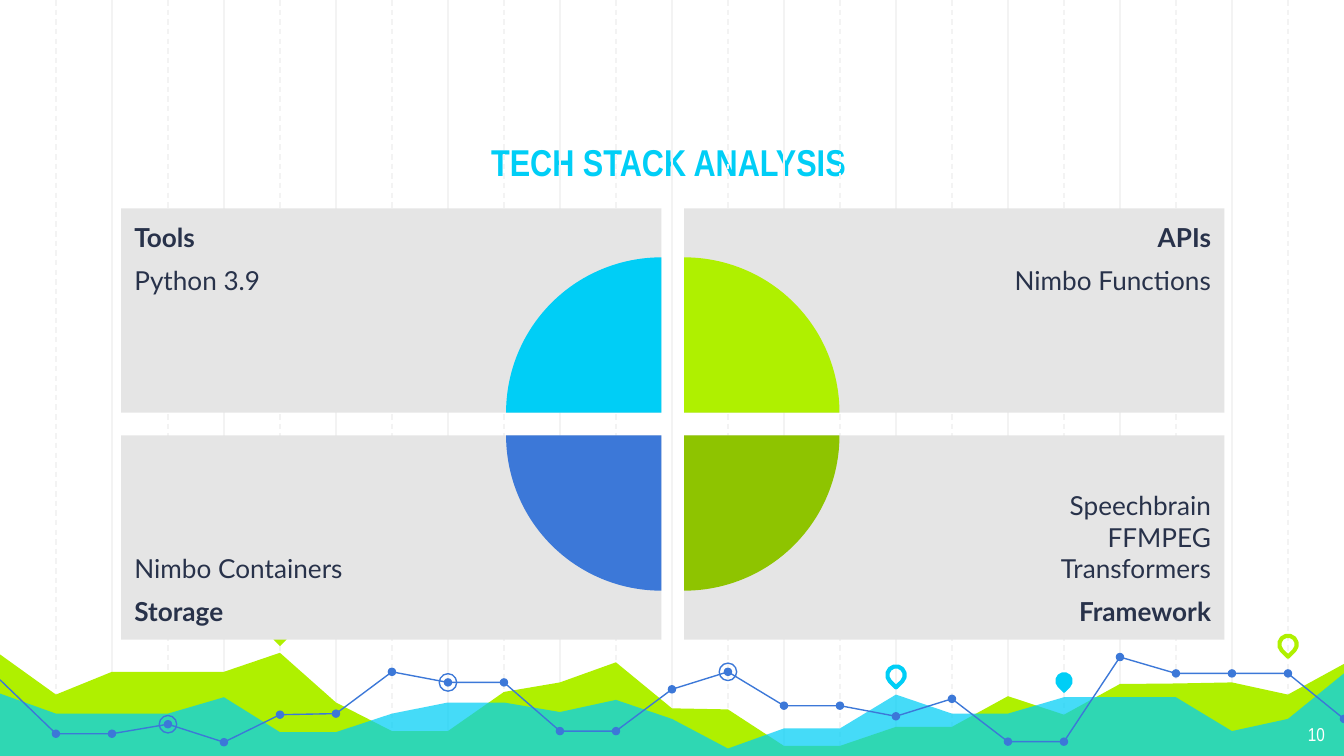
"""Build the tech stack slide: four panels around a split pie above a wavy chart band."""
from dataclasses import dataclass
from typing import Optional, Sequence

from lxml import etree
from pptx import Presentation
from pptx import util as u
from pptx.dml.color import RGBColor
from pptx.enum import dml, shapes, text
from pptx.oxml.ns import qn


@dataclass(frozen=True)
class Theme:
    cyan: str = "00CEF6"
    lime: str = "AFF000"
    olive: str = "8EC400"
    blue: str = "3C78D8"
    panel: str = "E5E5E5"
    grid: str = "F3F3F3"
    ink: str = "28324A"
    white: str = "FFFFFF"
    heading_face: str = "Arial Narrow"
    body_face: str = "Lato"
    title_size: int = 20
    body_size: int = 14
    number_size: int = 10
    thin: float = 0.75
    thick: float = 2.25


@dataclass(frozen=True)
class Area:
    heights: Sequence[float]
    color: str
    opacity: int = 100


@dataclass(frozen=True)
class Pin:
    column: int
    y: float
    color: str
    filled: bool


@dataclass(frozen=True)
class Panel:
    column: int
    row: int
    heading: str
    items: Sequence[str]
    color: str
    turn: int


THEME = Theme()
WIDTH, HEIGHT = 25.4, 14.29
COLUMNS = 24
STEP = WIDTH / COLUMNS
PANEL_LEFT, PANEL_TOP, PANEL_WIDTH, PANEL_HEIGHT = 2.29, 3.94, 10.21, 3.86
GAP = 0.43
PIE, DOT, MARK = 5.87, 0.16, 0.33
INSET, PIE_INSET = 0.25, 3.81

AREAS = [
    Area([12.37, 13.13, 12.7, 12.7, 12.7, 12.34, 13.28, 13.82, 13.82, 13.08, 12.9, 12.52, 13.39,
          13.41, 14.1, 14.1, 13.74, 13.74, 13.16, 13.51, 12.93, 12.92, 12.9, 13.13, 12.55],
         THEME.lime),
    Area([13.11, 13.49, 13.49, 13.49, 13.18, 13.84, 13.84, 13.49, 13.28, 13.28, 13.46, 13.23, 13.59,
          14.15, 13.77, 13.77, 13.13, 13.49, 13.49, 13.18, 13.18, 13.18, 13.82, 13.59, 12.73],
         THEME.cyan, 73),
]
TREND = [12.85, 13.87, 13.87, 13.69, 14.03, 13.51, 13.49, 12.7, 12.9, 12.9, 13.82, 13.82, 13.03,
         12.7, 13.34, 13.34, 13.54, 13.21, 14.02, 14.02, 12.42, 12.73, 12.73, 12.73, 13.59]
RINGED = (3, 8, 13)
PINS = [
    Pin(5, 11.98, THEME.lime, True),
    Pin(16, 12.76, THEME.cyan, False),
    Pin(19, 12.87, THEME.cyan, True),
    Pin(23, 12.18, THEME.lime, False),
]
PANELS = [
    Panel(0, 0, "Tools", ["Python 3.9"], THEME.cyan, 0),
    Panel(1, 0, "APIs", ["Nimbo Functions"], THEME.lime, 90),
    Panel(1, 1, "Framework", ["Speechbrain", "FFMPEG", "Transformers"], THEME.olive, 180),
    Panel(0, 1, "Storage", ["Nimbo Containers"], THEME.blue, 270),
]


def paint(shape, fill: Optional[str] = None, line: Optional[str] = None,
          weight: float = THEME.thin) -> None:
    """Set the fill and outline of a shape, leaving out whichever is not given."""
    shape.shadow.inherit = False
    if fill:
        shape.fill.solid()
        shape.fill.fore_color.rgb = RGBColor.from_string(fill)
    else:
        shape.fill.background()
    if line:
        shape.line.color.rgb = RGBColor.from_string(line)
        shape.line.width = u.Pt(weight)
    else:
        shape.line.fill.background()


def write(frame, words: str, *, size: int = THEME.body_size, face: str = THEME.body_face,
          color: str = THEME.ink, bold: bool = False, align=text.PP_ALIGN.LEFT,
          before: int = 0, after: int = 0) -> None:
    """Put a formatted paragraph at the end of a text frame."""
    paragraph = frame.paragraphs[0] if not frame.text else frame.add_paragraph()
    paragraph.text = words
    paragraph.alignment = align
    paragraph.space_before, paragraph.space_after = u.Pt(before), u.Pt(after)
    font = paragraph.font
    font.size, font.name, font.bold = u.Pt(size), face, bold
    font.color.rgb = RGBColor.from_string(color)


def set_frame(frame, anchor, left: float = INSET, right: float = INSET) -> None:
    """Set the wrapping, anchor and insets of a text frame."""
    frame.word_wrap = True
    frame.auto_size = text.MSO_AUTO_SIZE.NONE
    frame.vertical_anchor = anchor
    frame.margin_left, frame.margin_right = u.Cm(left), u.Cm(right)
    frame.margin_top = frame.margin_bottom = u.Cm(INSET)


def add_centred(slide, kind, x: float, y: float, size: float):
    """Add a square-bounded shape around a centre point."""
    return slide.shapes.add_shape(kind, u.Cm(x - size / 2), u.Cm(y - size / 2),
                                  u.Cm(size), u.Cm(size))


def add_outline(slide, points: Sequence[tuple], close: bool):
    """Add a freeform through points given in centimetres."""
    (start, *rest) = [(u.Cm(x), u.Cm(y)) for x, y in points]
    builder = slide.shapes.build_freeform(*start)
    builder.add_line_segments(rest, close=close)
    return builder.convert_to_shape()


def add_grid_line(slide, column: int) -> None:
    """Add a vertical grid line, dashed on odd columns."""
    x = u.Cm(column * STEP)
    rule = slide.shapes.add_connector(shapes.MSO_CONNECTOR.STRAIGHT, x, 0, x, u.Cm(HEIGHT))
    rule.line.color.rgb = RGBColor.from_string(THEME.grid)
    rule.line.width = u.Pt(THEME.thin)
    if column % 2:
        rule.line.dash_style = dml.MSO_LINE.DASH
    etree.SubElement(rule._element.spPr, qn("a:effectLst"))


def add_area(slide, area: Area) -> None:
    """Add a filled wave that stands on the bottom edge."""
    crest = [(i * STEP, y) for i, y in enumerate(area.heights)]
    wave = add_outline(slide, crest + [(WIDTH, HEIGHT), (0, HEIGHT)], True)
    paint(wave, fill=area.color)
    if area.opacity < 100:
        tint = wave._element.spPr.find(".//" + qn("a:srgbClr"))
        etree.SubElement(tint, qn("a:alpha"), val=str(area.opacity * 1000))


def add_trend(slide) -> None:
    """Add the trend line with its dots and rings."""
    points = [(i * STEP, y) for i, y in enumerate(TREND)]
    paint(add_outline(slide, points, False), line=THEME.blue)
    for x, y in points[1:]:
        paint(add_centred(slide, shapes.MSO_SHAPE.OVAL, x, y, DOT), fill=THEME.blue)
    for column in RINGED:
        paint(add_centred(slide, shapes.MSO_SHAPE.OVAL, *points[column], MARK), line=THEME.blue)


def add_pin(slide, pin: Pin) -> None:
    """Add a map pin pointing down."""
    drop = add_centred(slide, shapes.MSO_SHAPE.TEAR, pin.column * STEP, pin.y, MARK)
    drop.rotation = 135
    if pin.filled:
        paint(drop, fill=pin.color)
    else:
        paint(drop, line=pin.color, weight=THEME.thick)


def add_panel(slide, panel: Panel) -> None:
    """Add a panel whose heading sits on its outer edge."""
    right, low = bool(panel.column), bool(panel.row)
    card = slide.shapes.add_shape(
        shapes.MSO_SHAPE.RECTANGLE,
        u.Cm(PANEL_LEFT + panel.column * (PANEL_WIDTH + GAP)),
        u.Cm(PANEL_TOP + panel.row * (PANEL_HEIGHT + GAP)), u.Cm(PANEL_WIDTH), u.Cm(PANEL_HEIGHT))
    paint(card, fill=THEME.panel)
    set_frame(card.text_frame, text.MSO_ANCHOR.BOTTOM if low else text.MSO_ANCHOR.TOP,
              PIE_INSET if right else INSET, INSET if right else PIE_INSET)
    lines = [*panel.items, panel.heading] if low else [panel.heading, *panel.items]
    for i, words in enumerate(lines):
        edge = 6 if i == len(lines) - 1 else 0
        write(card.text_frame, words, bold=words == panel.heading, before=edge, after=edge,
              align=text.PP_ALIGN.RIGHT if right else text.PP_ALIGN.LEFT)


def add_quarter(slide, panel: Panel) -> None:
    """Add the pie quarter at the inner corner of a panel."""
    quarter = add_centred(slide, shapes.MSO_SHAPE.PIE, PANEL_LEFT + PANEL_WIDTH + panel.column * GAP,
                          PANEL_TOP + PANEL_HEIGHT + panel.row * GAP, PIE)
    quarter.adjustments[0], quarter.adjustments[1] = 108, 162
    quarter.rotation = panel.turn
    paint(quarter, fill=panel.color)


def main() -> None:
    """Build and save the presentation."""
    deck = Presentation()
    deck.slide_width, deck.slide_height = u.Cm(WIDTH), u.Cm(HEIGHT)
    slide = deck.slides.add_slide(deck.slide_layouts[5])
    for column in range(1, COLUMNS):
        add_grid_line(slide, column)
    for area in AREAS:
        add_area(slide, area)
    add_trend(slide)
    for pin in PINS:
        add_pin(slide, pin)

    title = slide.shapes.title
    title.left, title.top, title.width, title.height = map(u.Cm, (2.92, 1.75, 19.43, 1.98))
    set_frame(title.text_frame, text.MSO_ANCHOR.BOTTOM)
    write(title.text_frame, "TECH STACK ANALYSIS", size=THEME.title_size, face=THEME.heading_face,
          color=THEME.cyan, bold=True, align=text.PP_ALIGN.CENTER)
    number = slide.shapes.add_textbox(*map(u.Cm, (23.77, 13.41, 1.52, 0.89))).text_frame
    set_frame(number, text.MSO_ANCHOR.TOP)
    write(number, "10", size=THEME.number_size, face=THEME.heading_face, color=THEME.white,
          align=text.PP_ALIGN.RIGHT)

    for draw in (add_panel, add_quarter):
        for panel in PANELS:
            draw(slide, panel)
    deck.save("out.pptx")


if __name__ == "__main__":
    main()
